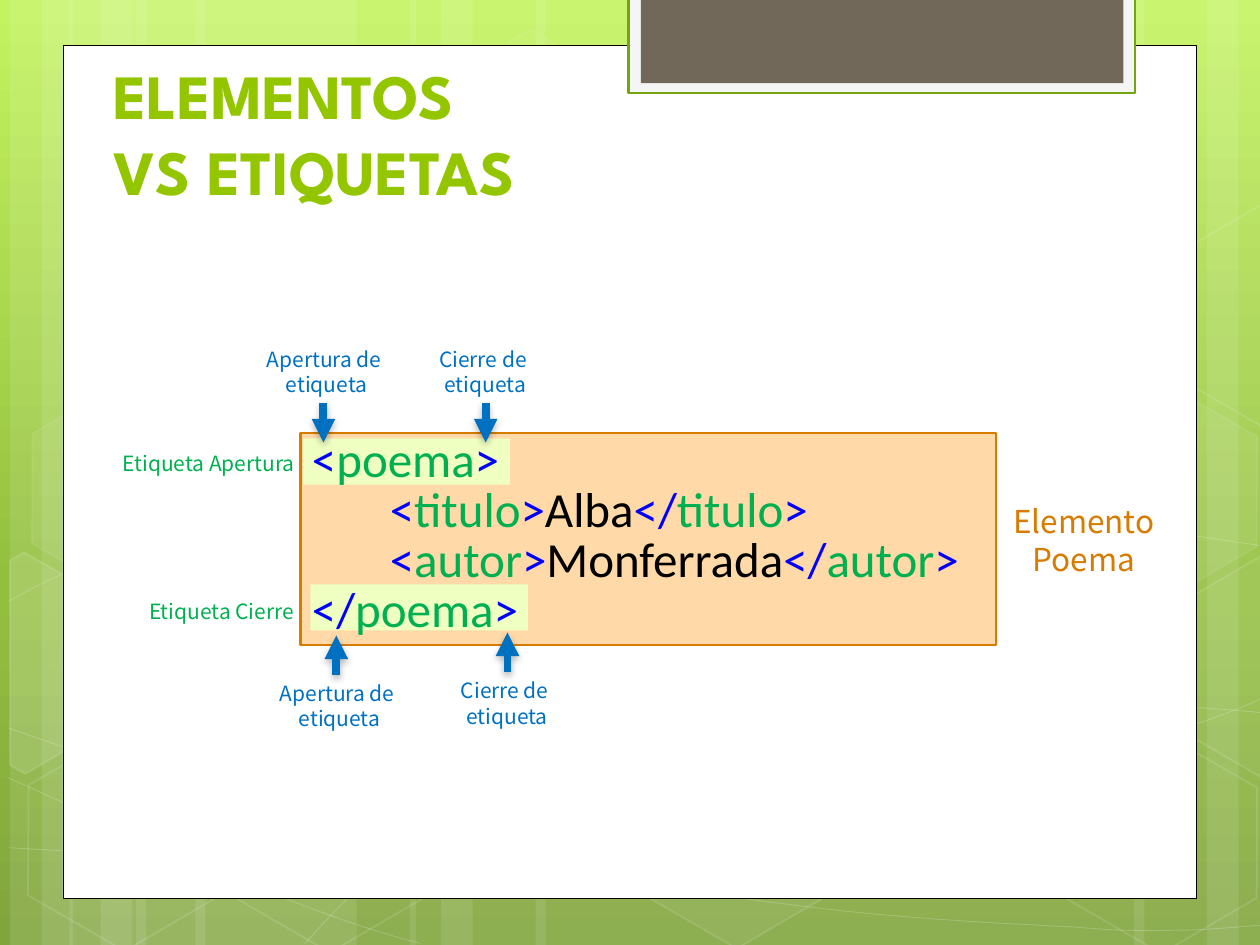
from math import cos, radians, sin

from lxml.etree import SubElement
from pptx import Presentation
from pptx.dml.color import RGBColor
from pptx.enum.shapes import MSO_CONNECTOR, MSO_SHAPE
from pptx.enum.text import PP_ALIGN
from pptx.oxml import parse_xml
from pptx.oxml.ns import nsdecls, qn
from pptx.util import Cm, Pt

COLORS = {
    "white": "FFFFFF", "black": "000000", "sky": "C3F35F", "leaf": "93BF3F",
    "moss": "81A53E", "tab": "F5F5F5", "tab_line": "74A510", "taupe": "71685A",
    "peach": "FFD9A7", "orange": "D77C01", "lime": "94C600", "pale": "EFFFC1",
    "tag": "00B050", "bracket": "0000FF", "arrow": "0070C0",
}
LABEL_FONT = "Noto Sans CJK SC"
SLIDE_W, SLIDE_H = 25.4, 19.05

# Content, all lengths in centimetres
TITLE = "ELEMENTOS\nVS ETIQUETAS"
CODE = [  # (indent, runs)
    (0, [("<", "bracket"), ("poema", "tag"), (">", "bracket")]),
    (1.57, [("<", "bracket"), ("titulo", "tag"), (">", "bracket"), ("Alba", "black"),
            ("</", "bracket"), ("titulo", "tag"), (">", "bracket")]),
    (1.57, [("<", "bracket"), ("autor", "tag"), (">", "bracket"), ("Monferrada", "black"),
            ("</", "bracket"), ("autor", "tag"), (">", "bracket")]),
    (0, [("</", "bracket"), ("poema", "tag"), (">", "bracket")]),
]
HIGHLIGHTS = [(6.11, 8.84, 4.17, 0.93), (6.26, 11.78, 4.39, 0.93)]
TAG_LABELS = [("Etiqueta Apertura", (2.1, 8.95, 4.22, 0.76)),
              ("Etiqueta Cierre", (2.59, 11.94, 3.76, 0.76))]
BRACKET_LABELS = {  # words, label width, arrow offset from label's left
    "open": (["Apertura de ", "etiqueta"], 2.97, 1.42),
    "close": (["Cierre de ", "etiqueta"], 2.59, 1.3),
}
CALLOUTS = [  # (bracket, left, top, direction of arrow: 1 down, -1 up)
    ("open", 5.1, 6.86, 1), ("close", 8.49, 6.86, 1),
    ("open", 5.36, 13.6, -1), ("close", 8.93, 13.54, -1),
]
CALLOUT_H, ARROW_LENGTH = 1.27, 0.79

# Background ornament
STRIPES = [(2.74, 4.45), (0.2, 1.27), (0.84, 2.11), (3.94, 4.45), (1.4, 1.27),
           (2.03, 2.11), (18.62, 4.45), (24.33, 1.27), (22.86, 2.11),
           (10.8, 7.82), (8.26, 1.27), (8.89, 2.11)]
CURVES = [  # start, then two handles and an end for each Bézier segment
    [(0.18, 17.09), (1.55, 17.17), (2.92, 17.25), (4.83, 17.22), (6.73, 17.2),
     (9.09, 17.15), (11.63, 16.89), (14.17, 16.64), (17.78, 16.15), (20.12, 15.67),
     (22.43, 15.19), (24.82, 14.43), (25.58, 14)],
    [(0.18, 12.12), (0.91, 11.71), (1.65, 11.33), (3.07, 10.95), (4.52, 10.57),
     (6.58, 10.01), (8.81, 9.83), (11.07, 9.65), (13.82, 9.63), (16.61, 9.83),
     (19.41, 10.03), (24.05, 10.82), (25.58, 11.02)],
    [(0.15, 15.67), (3.23, 17.07), (6.27, 18.47), (8.48, 19.02)],
    [(0.18, 14.68), (0.97, 14.96), (1.78, 15.24), (3.25, 15.65), (4.72, 16.03),
     (6.93, 16.66), (9.07, 17.09), (11.18, 17.53), (13.84, 17.98), (15.95, 18.24),
     (18.06, 18.52), (20.32, 18.62), (21.67, 18.69), (22.99, 18.8), (23.34, 18.75),
     (24, 18.75), (24.66, 18.72), (25.12, 18.67), (25.58, 18.64)],
    [(6.15, 19.02), (6.6, 18.52), (7.06, 18.01), (7.67, 17.55), (8.28, 17.09),
     (9.14, 16.59), (9.86, 16.23), (10.57, 15.88), (11, 15.72), (11.94, 15.47),
     (12.85, 15.22), (14.55, 14.86), (15.44, 14.68), (16.36, 14.5), (16.48, 14.5),
     (17.27, 14.45), (18.06, 14.38), (19.3, 14.3), (20.17, 14.27), (21.06, 14.25),
     (22.5, 14.27), (22.5, 14.27), (22.5, 14.27), (24.21, 14.27), (24.21, 14.27),
     (24.66, 14.3), (25.1, 14.33), (25.55, 14.38)],
]
HEXAGONS = [  # left, top, fill opacity, line opacity
    (8.48, 0.91, 4, 8), (12.62, 14.96, 6, 12), (0.28, 15.01, 0, 12),
    (0.36, 7.92, 7, 8), (4.42, 15.04, 0, 12), (19.13, 11.51, 10, 12),
    (21.18, 15.06, 0, 12), (21.18, 7.98, 7, 8),
]
TILT = 30
LEFT_CUT = [(0.2, 11.3), (0.48, 11.13), (2.44, 12.24), (2.41, 14.48), (0.51, 15.6),
            (0.2, 15.42)]
RIGHT_CUT = [(23.52, 12.32), (25.43, 11.2), (25.63, 11.33), (25.63, 15.57),
             (25.45, 15.67), (23.52, 14.55)]
UPPER_CUT = [(x, y - 7.08) for x, y in RIGHT_CUT]
CUT_HEXAGONS = [  # corners, pivot, fill opacity
    (LEFT_CUT, (0.91, 13.59), 10), (RIGHT_CUT, (25.02, 13.21), 4),
    (UPPER_CUT, (25.02, 6.13), 0)]
PANELS = [  # box, fill, line, line width
    ((1.27, 0.91, 22.86, 17.2), "white", "black", 0.5),
    ((12.67, -0.05, 10.21, 1.93), "tab", "tab_line", 1.25),
    ((12.92, -0.05, 9.73, 1.73), "taupe", None, 0),
    ((6.06, 8.73, 14.02, 4.27), "peach", "orange", 1.25),
]

prs = Presentation()
prs.slide_width, prs.slide_height = Cm(SLIDE_W), Cm(SLIDE_H)
slide = prs.slides.add_slide(prs.slide_layouts[6])
shapes = slide.shapes


def tint(fill, name, opacity):
    fill.solid()
    fill.fore_color.rgb = RGBColor.from_string(COLORS[name])
    if opacity < 100:
        srgb = fill._xPr.find(qn("a:solidFill"))[0]
        SubElement(srgb, qn("a:alpha"), val=str(opacity * 1000))


def paint(shape, fill=None, line=None, width=1, fill_opacity=100, line_opacity=100):
    shape.shadow.inherit = False
    if fill and fill_opacity:
        tint(shape.fill, fill, fill_opacity)
    else:
        shape.fill.background()
    if line:
        shape.line.width = Pt(width)
        tint(shape.line.fill, line, line_opacity)
    else:
        shape.line.fill.background()


def add_box(box, preset=MSO_SHAPE.RECTANGLE, **look):
    shape = shapes.add_shape(preset, *map(Cm, box))
    paint(shape, **look)
    return shape


def add_outline(points, closed, **look):
    start, *rest = [(Cm(x), Cm(y)) for x, y in points]
    builder = shapes.build_freeform(*start)
    builder.add_line_segments(rest, close=closed)
    shape = builder.convert_to_shape()
    paint(shape, **look)
    return shape


def bend(shape):
    """Turn every three line segments into one cubic segment."""
    segments = list(shape._element.iter(qn("a:lnTo")))
    for first in range(0, len(segments), 3):
        trio = segments[first:first + 3]
        cubic = trio[0].getparent().makeelement(qn("a:cubicBezTo"))
        trio[0].addprevious(cubic)
        for segment in trio:
            cubic.append(segment[0])
            segment.getparent().remove(segment)


def turn(point, pivot, degrees):
    dx, dy = point[0] - pivot[0], point[1] - pivot[1]
    c, s = cos(radians(degrees)), sin(radians(degrees))
    return pivot[0] + dx * c - dy * s, pivot[1] + dx * s + dy * c


def add_text(box, lines, size, font, align=PP_ALIGN.CENTER, spacing=None, bold=False):
    """lines: one (indent, runs) pair per paragraph."""
    frame = shapes.add_textbox(*map(Cm, box)).text_frame
    frame.word_wrap = True
    for number, (indent, runs) in enumerate(lines):
        paragraph = frame.add_paragraph() if number else frame.paragraphs[0]
        paragraph.alignment, paragraph.line_spacing = align, spacing
        if indent:
            paragraph._p.get_or_add_pPr().set("marL", str(Cm(indent)))
        for text, color in runs:
            for row, piece in enumerate(text.split("\n")):
                if row:
                    paragraph.add_line_break()
                run = paragraph.add_run()
                run.text = piece
                run.font.size, run.font.name, run.font.bold = Pt(size), font, bold
                run.font.color.rgb = RGBColor.from_string(COLORS[color])


def plain(words, color):
    return [(0, [(text, color)]) for text in words]


def add_arrow(x, start, end):
    arrow = shapes.add_connector(MSO_CONNECTOR.STRAIGHT, Cm(x), Cm(start), Cm(x), Cm(end))
    arrow.line.width = Pt(4.5)
    tint(arrow.line.fill, "arrow", 100)
    SubElement(arrow.line._get_or_add_ln(), qn("a:tailEnd"), type="triangle")
    effects = SubElement(arrow._element.spPr, qn("a:effectLst"))
    shadow = SubElement(effects, qn("a:outerShdw"), blurRad=str(Pt(4)), dist=str(Pt(2)),
                        dir="5400000", rotWithShape="0")
    tone = SubElement(shadow, qn("a:srgbClr"), val=COLORS["black"])
    SubElement(tone, qn("a:alpha"), val="28000")


# Background gradient
stops = "".join(f'<a:gs pos="{pos}000"><a:srgbClr val="{COLORS[name]}"/></a:gs>'
                for pos, name in [(0, "sky"), (62, "leaf"), (100, "moss")])
slide._element.cSld.insert(0, parse_xml(
    f'<p:bg {nsdecls("p", "a")}><p:bgPr><a:gradFill><a:gsLst>{stops}</a:gsLst>'
    '<a:lin ang="5400000" scaled="0"/></a:gradFill><a:effectLst/></p:bgPr></p:bg>'))

# Stripes, curves and hexagons
for left, width in STRIPES:
    add_box((left, 0, width, SLIDE_H), fill="white", fill_opacity=10)
for points in CURVES:
    bend(add_outline(points, False, line="white", width=0.5, line_opacity=20))
for left, top, fill_opacity, line_opacity in HEXAGONS:
    hexagon = add_box((left, top, 4.45, 3.86), MSO_SHAPE.HEXAGON, fill="white", line="white",
                      fill_opacity=fill_opacity, line_opacity=line_opacity)
    hexagon.adjustments[0] = 0.285
    hexagon.rotation = TILT
for corners, pivot, fill_opacity in CUT_HEXAGONS:
    upright = [turn(corner, pivot, -TILT) for corner in corners]
    add_outline(upright, True, fill="white", line="white", fill_opacity=fill_opacity,
                line_opacity=12).rotation = TILT

# Page, tab and element box
for box, fill, line, width in PANELS:
    add_box(box, fill=fill, line=line, width=width)

# Title and element name
add_text((2.03, 1.02, 9.4, 2.46), plain([TITLE], "lime"), 36, "League Spartan",
         PP_ALIGN.LEFT, bold=True)
add_text((20.01, 9.99, 3.68, 1.8), plain(["Elemento", "Poema"], "orange"), 18, LABEL_FONT)

# Tags and code
for box in HIGHLIGHTS:
    add_box(box, fill="pale")
for text, box in TAG_LABELS:
    add_text(box, plain([text], "tag"), 12, LABEL_FONT)
add_text((6.04, 8.69, 13.79, 4.32), CODE, 28, "Calibri", PP_ALIGN.LEFT, 0.85)

# Bracket callouts
for bracket, left, top, direction in CALLOUTS:
    words, width, offset = BRACKET_LABELS[bracket]
    add_text((left, top, width, CALLOUT_H), plain(words, "arrow"), 12, LABEL_FONT)
    start = top + CALLOUT_H if direction > 0 else top
    add_arrow(left + offset, start, start + direction * ARROW_LENGTH)

prs.save("out.pptx")
